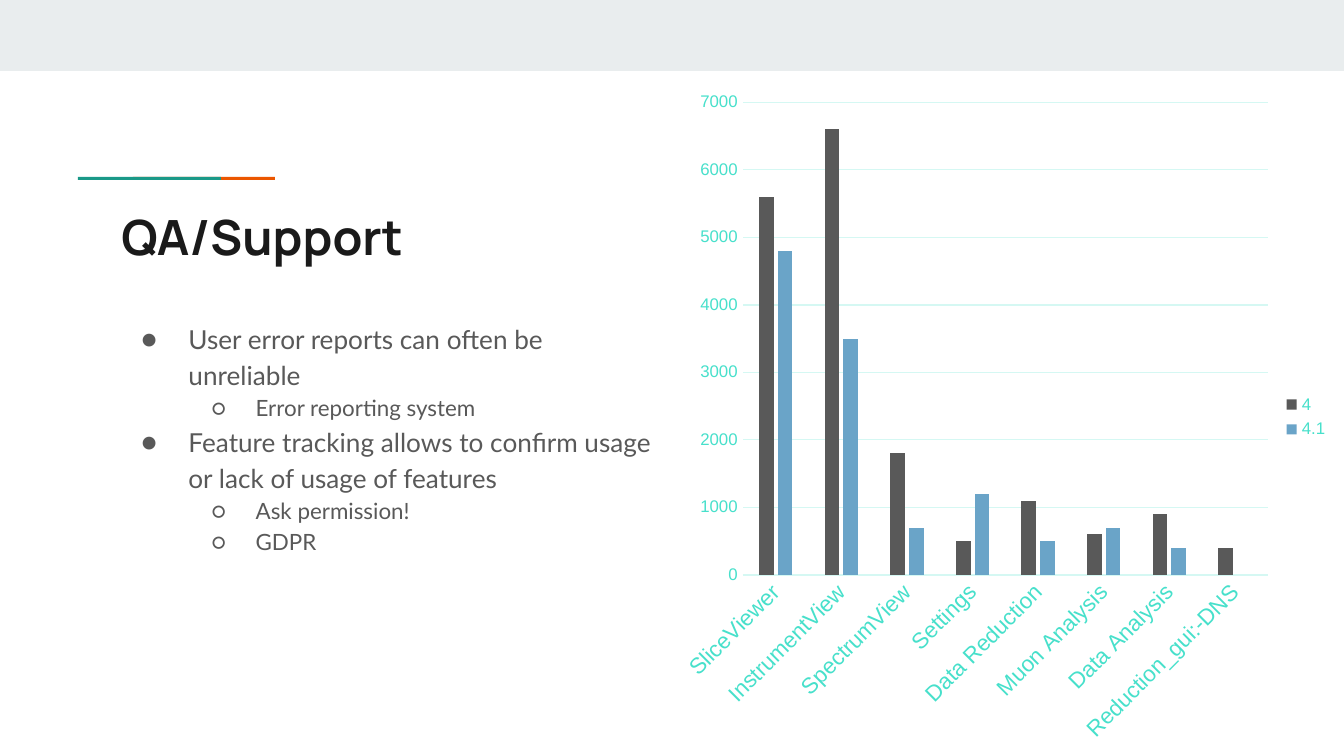
from dataclasses import dataclass

from lxml import etree
from pptx import Presentation
from pptx import util as u
from pptx.chart.data import CategoryChartData
from pptx.dml.color import RGBColor
from pptx.enum import chart as charts, shapes, text
from pptx.oxml.ns import qn

EMU_PER_INCH = 914400
PX_PER_INCH = 134.4
GRAY, AQUA, PALE_AQUA = "595959", "47E0CB", "D5F8F3"


@dataclass(frozen=True)
class Box:
    left: int
    top: int
    width: int
    height: int


@dataclass(frozen=True)
class Bar:
    box: Box
    color: str


@dataclass(frozen=True)
class Level:
    symbol: str
    size: int
    margin: float
    indent: float


@dataclass(frozen=True)
class Bullet:
    words: str
    level: int = 0


@dataclass(frozen=True)
class Series:
    name: str
    color: str
    values: tuple


BARS = (
    Bar(Box(0, 0, 1344, 71), "E9EDEE"),
    Bar(Box(133, 177, 142, 3), "EB5600"),
    Bar(Box(78, 177, 143, 3), "1A9988"),
)
LEVELS = (Level("●", 14, 0.5, -0.35), Level("○", 12, 1, -0.33))
BULLETS = (
    Bullet("User error reports can often be unreliable"),
    Bullet("Error reporting system", 1),
    Bullet("Feature tracking allows to confirm usage or lack of usage of features"),
    Bullet("Ask permission!", 1),
    Bullet("GDPR", 1),
)
FEATURES = (
    "SliceViewer", "InstrumentView", "SpectrumView", "Settings",
    "Data Reduction", "Muon Analysis", "Data Analysis", "Reduction_gui:-DNS",
)
USAGE = (
    Series("4", GRAY, (5600, 6600, 1800, 500, 1100, 600, 900, 400)),
    Series("4.1", "6AA4C8", (4800, 3500, 700, 1200, 500, 700, 400, None)),
)


def px(length: int) -> u.Emu:
    return u.Emu(round(length * EMU_PER_INCH / PX_PER_INCH))


def place(box: Box) -> tuple:
    return px(box.left), px(box.top), px(box.width), px(box.height)


def rgb(color: str) -> RGBColor:
    return RGBColor.from_string(color)


def style_font(font, name: str, size: int, color: str, bold: bool = False) -> None:
    font.name = name
    font.size = u.Pt(size)
    font.bold = bold
    font.color.rgb = rgb(color)


def style_line(line, color: str) -> None:
    line.color.rgb = rgb(color)
    line.width = u.Pt(0.75)


def prepare_frame(frame) -> None:
    frame.word_wrap = True
    frame.auto_size = text.MSO_AUTO_SIZE.NONE
    frame.vertical_anchor = text.MSO_ANCHOR.TOP
    frame.margin_left = frame.margin_right = u.Inches(0.1)
    frame.margin_top = frame.margin_bottom = u.Inches(0.1)


def draw_bar(slide, bar: Bar) -> None:
    shape = slide.shapes.add_shape(shapes.MSO_SHAPE.RECTANGLE, *place(bar.box))
    shape.shadow.inherit = False
    shape.fill.solid()
    shape.fill.fore_color.rgb = rgb(bar.color)
    shape.line.fill.background()


def draw_title(slide, words: str, box: Box) -> None:
    title = slide.shapes.title
    title.left, title.top, title.width, title.height = place(box)
    prepare_frame(title.text_frame)
    paragraph = title.text_frame.paragraphs[0]
    paragraph.alignment = text.PP_ALIGN.LEFT
    run = paragraph.add_run()
    run.text = words
    style_font(run.font, "Manrope", 26, "1A1A1A", bold=True)


def set_bullet(paragraph, level: Level) -> None:
    properties = paragraph._p.get_or_add_pPr()
    properties.set("marL", str(u.Inches(level.margin)))
    properties.set("indent", str(u.Inches(level.indent)))
    bullet_color = etree.SubElement(properties, qn("a:buClr"))
    etree.SubElement(bullet_color, qn("a:srgbClr"), val=GRAY)
    etree.SubElement(properties, qn("a:buFont"), typeface="Lato")
    etree.SubElement(properties, qn("a:buChar"), char=level.symbol)


def draw_bullets(slide, bullets: tuple, box: Box) -> None:
    frame = slide.shapes.add_textbox(*place(box)).text_frame
    prepare_frame(frame)
    for index, bullet in enumerate(bullets):
        paragraph = frame.add_paragraph() if index else frame.paragraphs[0]
        level = LEVELS[bullet.level]
        set_bullet(paragraph, level)
        paragraph.level = bullet.level
        paragraph.line_spacing = 1.15
        run = paragraph.add_run()
        run.text = bullet.words
        style_font(run.font, "Lato", level.size, GRAY)


def style_axes(chart) -> None:
    for axis, size in ((chart.category_axis, 12), (chart.value_axis, 9)):
        axis.major_tick_mark = axis.minor_tick_mark = charts.XL_TICK_MARK.NONE
        style_font(axis.tick_labels.font, "Arial", size, AQUA)
    style_line(chart.category_axis.format.line, PALE_AQUA)
    label_body = chart.category_axis._element.find(qn("c:txPr")).find(qn("a:bodyPr"))
    label_body.set("rot", "-2700000")
    label_body.set("vert", "horz")
    value_axis = chart.value_axis
    value_axis.minimum_scale, value_axis.maximum_scale = 0, 7000
    value_axis.major_unit = 1000
    value_axis.format.line.fill.background()
    style_line(value_axis.major_gridlines.format.line, PALE_AQUA)


def draw_chart(slide, categories: tuple, usage: tuple, box: Box) -> None:
    data = CategoryChartData()
    data.categories = categories
    for series in usage:
        data.add_series(series.name, series.values)
    chart = slide.shapes.add_chart(
        charts.XL_CHART_TYPE.COLUMN_CLUSTERED, *place(box), data
    ).chart
    style_font(chart.font, "Arial", 10, "1A9988")
    chart.has_title = False
    chart.has_legend = True
    chart.legend.position = charts.XL_LEGEND_POSITION.RIGHT
    chart.legend.include_in_layout = False
    style_font(chart.legend.font, "Arial", 9, AQUA)
    style_axes(chart)
    plot = chart.plots[0]
    plot.gap_width, plot.overlap = 219, -27
    plot.vary_by_categories = False
    for column, series in zip(plot.series, usage):
        column.format.fill.solid()
        column.format.fill.fore_color.rgb = rgb(series.color)


def main() -> None:
    presentation = Presentation()
    presentation.slide_width, presentation.slide_height = px(1344), px(756)
    slide = presentation.slides.add_slide(presentation.slide_layouts[5])
    for bar in BARS:
        draw_bar(slide, bar)
    draw_title(slide, "QA/Support", Box(108, 194, 1130, 79))
    draw_bullets(slide, BULLETS, Box(108, 305, 564, 332))
    draw_chart(slide, FEATURES, USAGE, Box(671, 79, 671, 676))
    presentation.save("out.pptx")


if __name__ == "__main__":
    main()
